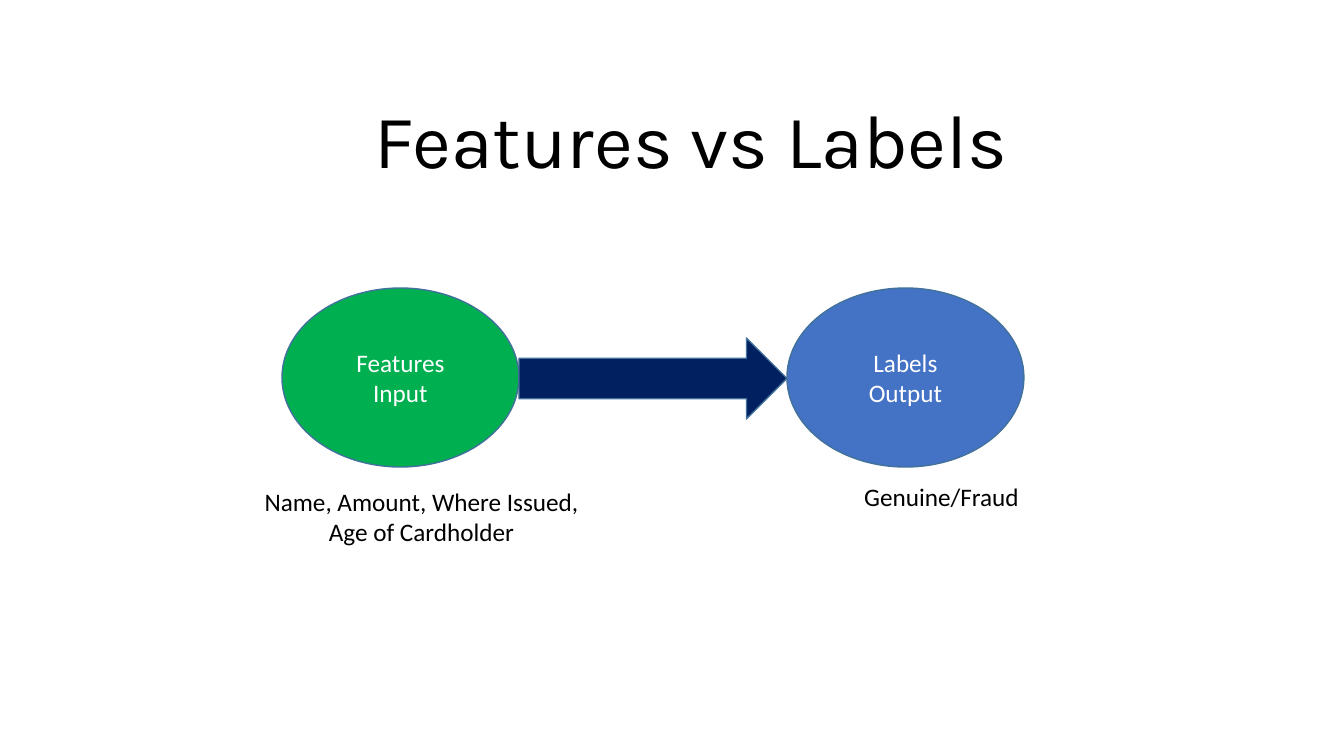
from pptx import Presentation
from pptx.dml.color import RGBColor
from pptx.enum.shapes import MSO_SHAPE as Preset
from pptx.enum.text import MSO_ANCHOR as Anchor, MSO_AUTO_SIZE as AutoSize, PP_ALIGN as Align
from pptx.util import Pt

PX = 914400 / 100.8
THEME = {
    "title": {"name": "Karla", "size": Pt(54), "color": "000000"},
    "node": {"name": "Calibri", "size": Pt(18), "color": "FFFFFF"},
    "caption": {"name": "Calibri", "size": Pt(18), "color": "000000"},
    "features": "00B050",
    "labels": "4472C4",
    "arrow": "002060",
    "outline": "42719B",
}


def write(box, lines, style, anchor):
    frame = box.text_frame
    settings = {"word_wrap": True, "auto_size": AutoSize.NONE, "vertical_anchor": anchor}
    for name, value in settings.items():
        setattr(frame, name, value)
    frame.text = "\n".join(lines)
    for para in frame.paragraphs:
        para.alignment = Align.CENTER
        for span in para.runs:
            for name, value in THEME[style].items():
                if name == "color":
                    span.font.color.rgb = RGBColor.from_string(value)
                else:
                    setattr(span.font, name, value)


def add_figure(preset, bounds, fill):
    figure = page.shapes.add_shape(preset, *[round(n * PX) for n in bounds])
    figure.shadow.inherit = False
    figure.fill.solid()
    figure.fill.fore_color.rgb = RGBColor.from_string(THEME[fill])
    figure.line.color.rgb = RGBColor.from_string(THEME["outline"])
    figure.line.width = Pt(1)
    return figure


deck = Presentation()
deck.slide_width, deck.slide_height = round(1344 * PX), round(756 * PX)
page = deck.slides.add_slide(deck.slide_layouts[5])

title = page.shapes.title
for name, value in zip(("left", "top", "width", "height"), (151, 88, 1081, 102)):
    setattr(title, name, round(value * PX))
write(title, ["Features vs Labels"], "title", Anchor.TOP)

nodes = [
    (282, "features", ["Features", "Input"]),
    (787, "labels", ["Labels", "Output"]),
]
for left, fill, lines in nodes:
    ellipse = add_figure(Preset.OVAL, (left, 288, 237, 179), fill)
    write(ellipse, lines, "node", Anchor.MIDDLE)

add_figure(Preset.RIGHT_ARROW, (519, 338, 268, 81), "arrow")

captions = [
    ((240, 481, 363, 72), "Name, Amount, Where Issued, Age of Cardholder"),
    ((760, 476, 363, 40), "Genuine/Fraud"),
]
for bounds, text in captions:
    caption = page.shapes.add_textbox(*[round(n * PX) for n in bounds])
    write(caption, [text], "caption", Anchor.TOP)

deck.save("out.pptx")
